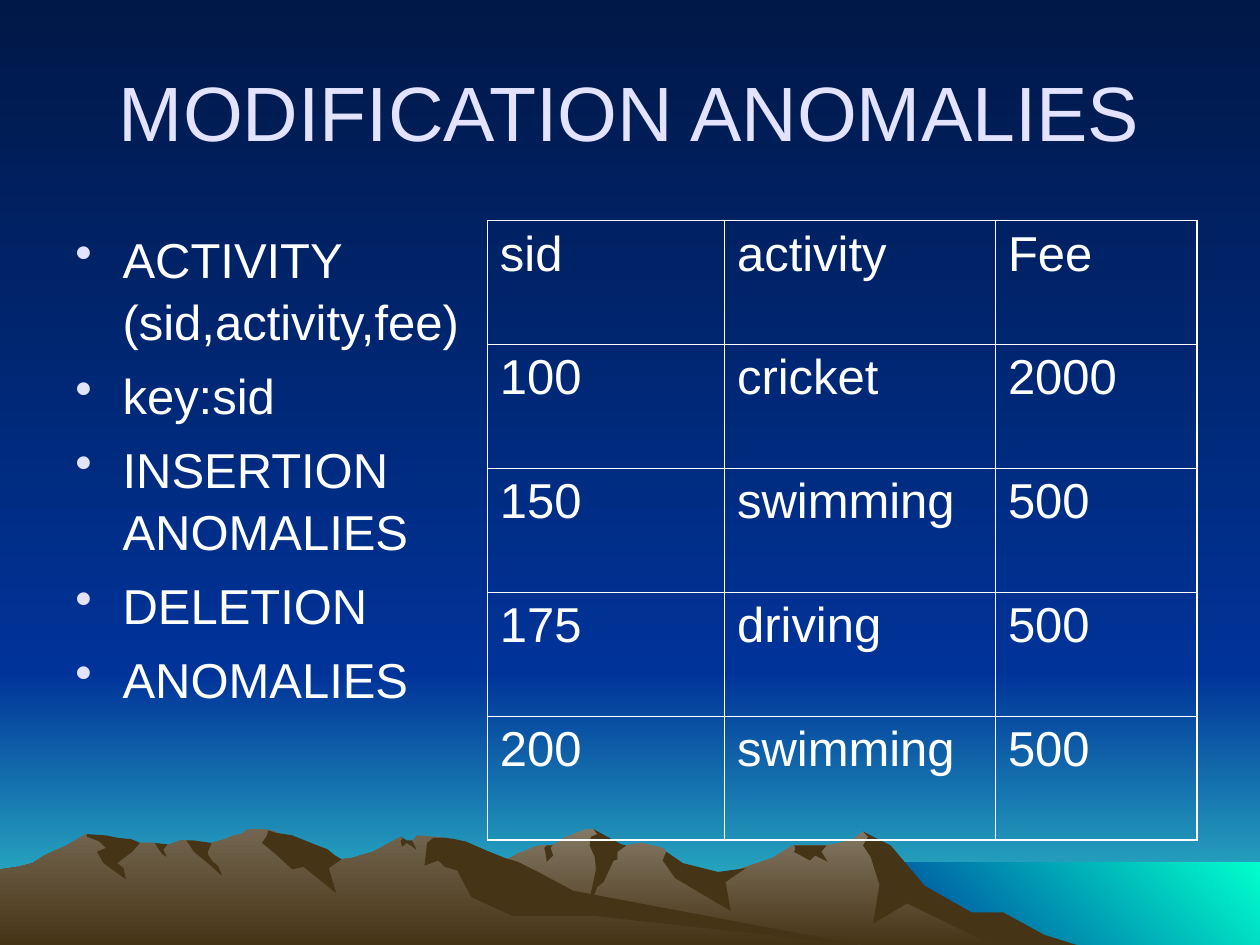
from lxml import etree
from pptx import Presentation
from pptx.dml.color import RGBColor
from pptx.enum.shapes import MSO_SHAPE
from pptx.enum.text import MSO_ANCHOR, PP_ALIGN
from pptx.oxml.ns import qn
from pptx.util import Pt

RECTANGLE = MSO_SHAPE.RECTANGLE
MIDDLE = MSO_ANCHOR.MIDDLE
CENTER = PP_ALIGN.CENTER

COLORS = {
    "night": "001847", "blue": "003399", "horizon": "33CCCC", "sea": "00FFCC",
    "far_rock": "847864", "near_rock": "73654F", "earth": "463416",
    "title": "E3E3FF", "white": "FFFFFF",
}
FONT = "Arial"
DOWN, UP_RIGHT = 270, 45
GRID = Pt(0.72)
OUTER_WIDTH, INNER_WIDTH = 1.08, 0.45

FAR_RIDGE = [
    (802, 82), (778, 69), (764, 65), (723, 40), (702, 13), (685, 2), (676, 9), (656, 13),
    (629, 13), (613, 23), (566, 39), (536, 32), (529, 18), (526, 15), (509, 11), (497, 13),
    (486, 15), (474, 3), (471, 0), (465, 0), (450, 6), (448, 7), (444, 10), (438, 13),
    (430, 13), (424, 14), (418, 17), (412, 19), (405, 23), (399, 25), (394, 27), (355, 40),
    (327, 51), (277, 81), (258, 93), (821, 93),
]
FAR_SHADOWS = [
    [(796, 66), (771, 66), (734, 45), (707, 13), (685, 2), (689, 6), (685, 13), (691, 22),
     (698, 44), (693, 75), (720, 59), (792, 94), (858, 93), (829, 84)],
    [(471, 0), (474, 4), (469, 6), (468, 13), (472, 22), (473, 32), (465, 69), (474, 46),
     (479, 42), (487, 25), (490, 24), (490, 18), (497, 13), (493, 12)],
    [(529, 18), (528, 20), (526, 25), (536, 39), (580, 65), (576, 42), (592, 31), (570, 34),
     (542, 27)],
    [(650, 13), (630, 13), (631, 14), (631, 17), (630, 18), (643, 25), (647, 21), (657, 26),
     (652, 18), (656, 13)],
    [(433, 19), (432, 15), (434, 13), (438, 13), (439, 12), (437, 15), (439, 21), (434, 26)],
]
NEAR_RIDGE = [
    (690, 93), (667, 90), (432, 54), (354, 7), (331, 5), (327, 10), (323, 10), (318, 6),
    (296, 18), (279, 23), (271, 24), (260, 18), (236, 23), (223, 5), (219, 2), (215, 1),
    (212, 0), (196, 0), (194, 2), (191, 4), (186, 5), (178, 8), (168, 11), (160, 13),
    (148, 9), (143, 9), (132, 13), (128, 13), (123, 11), (111, 11), (94, 13), (68, 4),
    (56, 11), (53, 13), (46, 16), (35, 21), (26, 27), (14, 30), (0, 32), (0, 93),
]
NEAR_SHADOWS = [
    [(212, 5), (208, 11), (219, 20), (232, 32), (241, 30), (267, 51), (261, 31), (271, 24),
     (266, 21), (260, 16), (252, 13), (232, 5), (226, 4), (219, 3), (213, 1)],
    [(370, 10), (361, 8), (354, 7), (344, 7), (339, 11), (337, 29), (348, 25), (353, 30),
     (363, 33), (374, 54), (407, 69), (472, 69), (690, 93), (683, 92), (455, 49), (427, 34),
     (411, 26), (401, 23), (386, 17)],
    [(318, 9), (320, 8), (318, 6), (323, 9), (327, 9), (330, 15), (330, 16), (326, 13),
     (322, 11), (322, 12), (319, 14)],
    [(154, 9), (161, 10), (168, 11), (165, 18), (165, 20), (169, 26), (173, 29), (176, 36),
     (176, 37), (165, 27), (154, 18), (148, 9)],
    [(133, 12), (130, 16), (130, 17), (132, 21), (132, 22), (129, 20), (126, 16), (123, 11)],
    [(109, 10), (111, 11), (105, 18), (93, 27), (98, 31), (100, 40), (82, 27), (77, 18),
     (84, 15), (79, 10), (69, 6), (69, 4), (84, 5), (94, 7), (104, 8)],
]
BULLETS = ["ACTIVITY (sid,activity,fee)", "key:sid", "INSERTION ANOMALIES", "DELETION",
           "ANOMALIES"]
ROWS = [
    ["sid", "activity", "Fee"],
    ["100", "cricket", "2000"],
    ["150", "swimming", "500"],
    ["175", "driving", "500"],
    ["200", "swimming", "500"],
]
COLUMN_WIDTHS = [135.5, 154.8, 115.2]


def rgb(name):
    """Return the named colour."""
    return RGBColor.from_string(COLORS[name])


def paint(fill, names, angle=DOWN):
    """Fill with one colour, or with a gradient between two."""
    if len(names) == 1:
        fill.solid()
        fill.fore_color.rgb = rgb(names[0])
        return
    fill.gradient()
    fill.gradient_angle = angle
    for stop, name in zip(fill.gradient_stops, names):
        stop.color.rgb = rgb(name)


def finish(shape, names, angle=DOWN):
    """Paint a shape and take away its line and shadow."""
    paint(shape.fill, names, angle)
    shape.line.fill.background()
    shape.shadow.inherit = False


def style(paragraph, size, color):
    """Set the font of a paragraph."""
    paragraph.font.name = FONT
    paragraph.font.size = Pt(size)
    paragraph.font.color.rgb = rgb(color)


def add_scenery(slide, left, top, width, height):
    """Draw the sky, the sea and the mountains."""
    bands = [
        (0, 384, width, height - 384, ["blue", "horizon"], DOWN),
        (0, 0, width, 384, ["night", "blue"], DOWN),
        (492, 493, width - 492, height - 493, ["blue", "sea"], UP_RIGHT),
    ]
    for x, y, band_width, band_height, names, angle in bands:
        band = slide.shapes.add_shape(
            RECTANGLE, Pt(left + x), Pt(top + y), Pt(band_width), Pt(band_height))
        finish(band, names, angle)
    for ridge, rock, shadows in ((FAR_RIDGE, "far_rock", FAR_SHADOWS),
                                 (NEAR_RIDGE, "near_rock", NEAR_SHADOWS)):
        for outline, names in [(ridge, [rock, "earth"])] + [(s, ["earth"]) for s in shadows]:
            builder = slide.shapes.build_freeform(*outline[0], scale=GRID)
            builder.add_line_segments(outline[1:])
            finish(builder.convert_to_shape(Pt(left), Pt(top + 473.8)), names)


def add_title(slide, left, top, width, height):
    """Write the centred title."""
    frame = slide.shapes.add_textbox(Pt(left), Pt(top), Pt(width), Pt(height)).text_frame
    frame.word_wrap = True
    frame.vertical_anchor = MIDDLE
    paragraph = frame.paragraphs[0]
    paragraph.text = "MODIFICATION ANOMALIES"
    paragraph.alignment = CENTER
    style(paragraph, 44, "title")


def add_bullets(slide, left, top, width, height):
    """Write the bulleted list."""
    frame = slide.shapes.add_textbox(Pt(left), Pt(top), Pt(width), Pt(height)).text_frame
    frame.word_wrap = True
    for index, text in enumerate(BULLETS):
        paragraph = frame.add_paragraph() if index else frame.paragraphs[0]
        paragraph.text = text
        properties = paragraph._p.get_or_add_pPr()
        properties.set("marL", str(Pt(27)))
        properties.set("indent", str(-Pt(27)))
        bullet_color = etree.SubElement(properties, qn("a:buClr"))
        etree.SubElement(bullet_color, qn("a:srgbClr"), val=COLORS["title"])
        etree.SubElement(properties, qn("a:buChar"), char="•")
        paragraph.line_spacing = 1.05
        paragraph.space_before = Pt(7 if index else 0)
        style(paragraph, 28, "white")


def set_borders(cell, widths):
    """Draw the left, right, top and bottom borders of a cell."""
    properties = cell._tc.get_or_add_tcPr()
    for index, (side, width) in enumerate(zip("LRTB", widths)):
        line = etree.Element(qn(f"a:ln{side}"), w=str(Pt(width)))
        fill = etree.SubElement(line, qn("a:solidFill"))
        etree.SubElement(fill, qn("a:srgbClr"), val=COLORS["white"])
        properties.insert(index, line)


def add_activity_table(slide, left, top, width, height):
    """Build the table of activities, with a heavier outer border."""
    last_row, last_column = len(ROWS) - 1, len(COLUMN_WIDTHS) - 1
    table = slide.shapes.add_table(
        len(ROWS), len(COLUMN_WIDTHS), Pt(left), Pt(top), Pt(width), Pt(height)).table
    table.first_row = table.horz_banding = False
    for column, column_width in zip(table.columns, COLUMN_WIDTHS):
        column.width = Pt(column_width)
    for i, values in enumerate(ROWS):
        for j, value in enumerate(values):
            cell = table.cell(i, j)
            cell.text = value
            cell.fill.background()
            style(cell.text_frame.paragraphs[0], 28, "white")
            on_edge = (j == 0, j == last_column, i == 0, i == last_row)
            set_borders(cell, [OUTER_WIDTH if edge else INNER_WIDTH for edge in on_edge])


def main():
    """Build and save the slide."""
    presentation = Presentation()
    presentation.slide_width, presentation.slide_height = Pt(720), Pt(540)
    slide = presentation.slides.add_slide(presentation.slide_layouts[6])
    paint(slide.background.fill, ["night", "blue"])
    add_scenery(slide, 0, 0, 720, 540)
    add_title(slide, 36, 18, 648, 90)
    add_bullets(slide, 36, 126, 318, 354)
    add_activity_table(slide, 278.5, 126, 405.5, 354)
    presentation.save("out.pptx")


if __name__ == "__main__":
    main()
